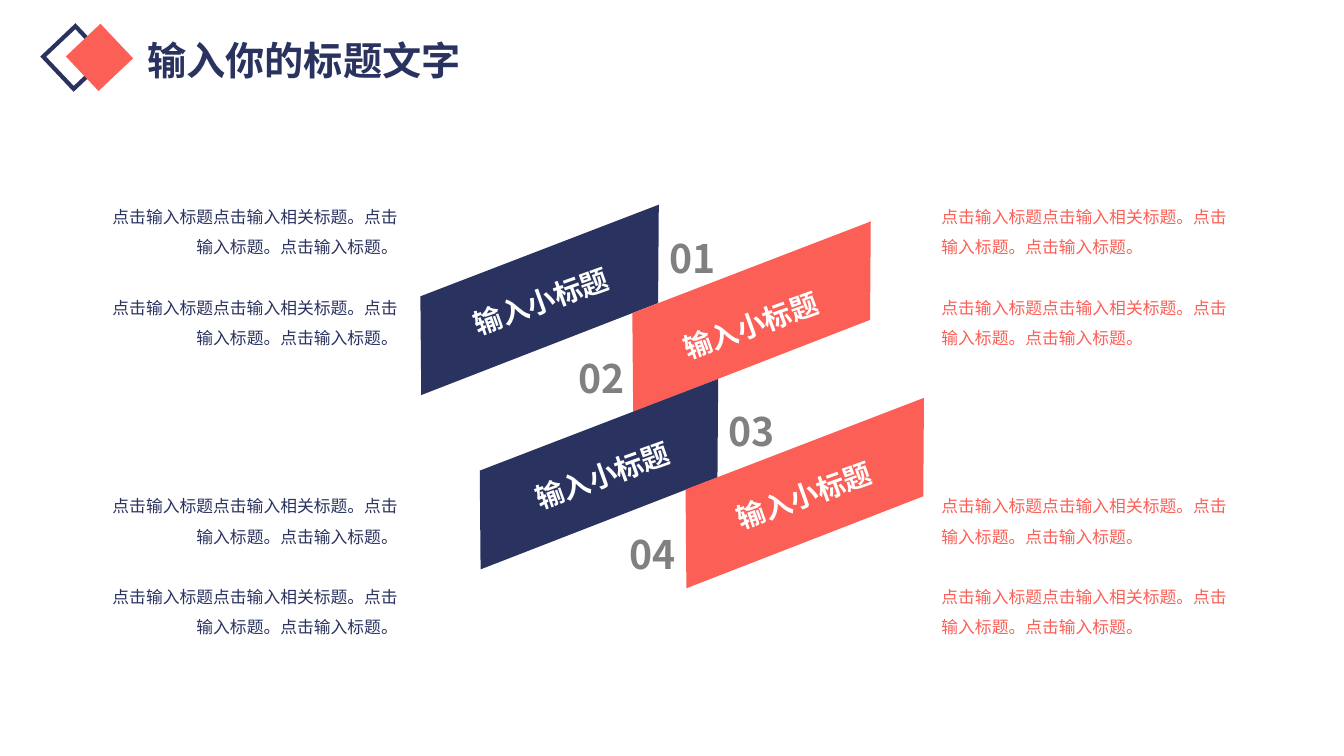
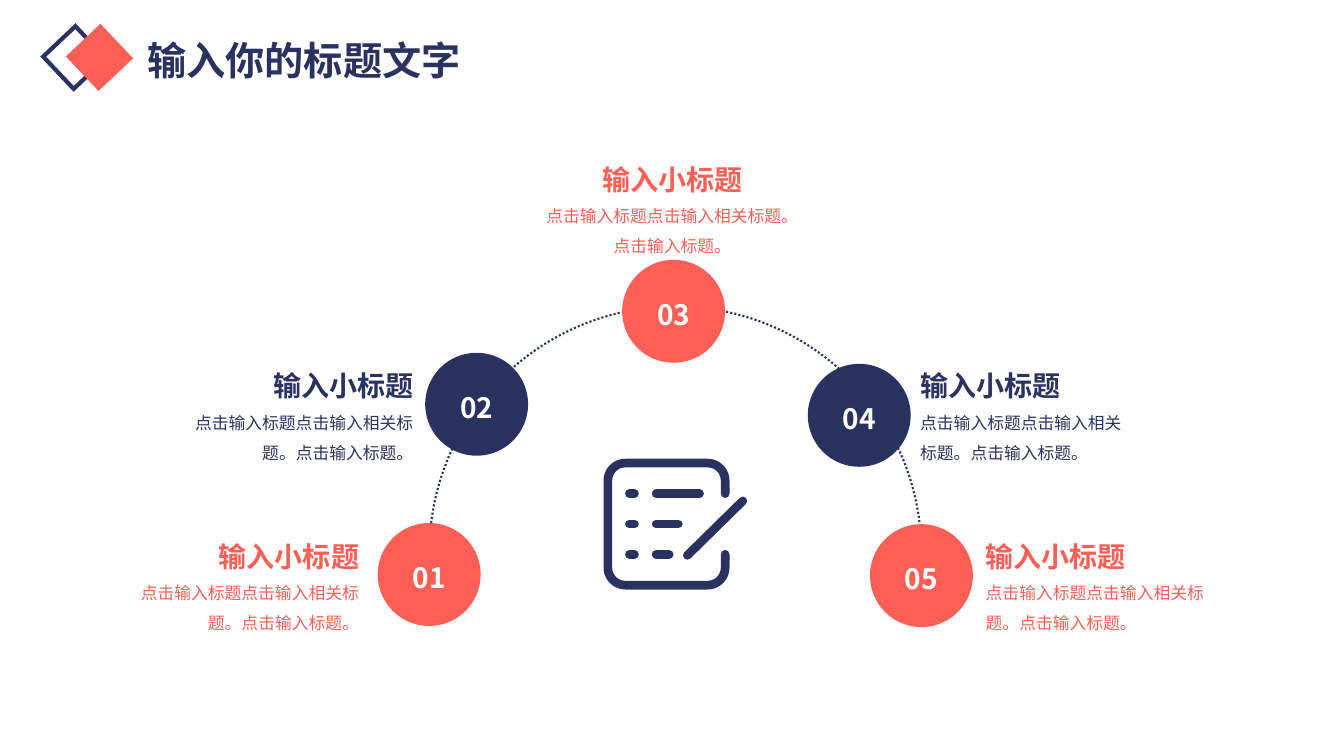
from math import cos, sin, radians
from lxml import etree
from pptx import Presentation
from pptx.dml.color import RGBColor
from pptx.enum.dml import MSO_LINE
from pptx.enum.shapes import MSO_CONNECTOR as Link, MSO_SHAPE as Kind
from pptx.enum.text import MSO_ANCHOR as Anchor, PP_ALIGN as Align
from pptx.oxml.ns import qn
from pptx.util import Pt

# Shared look
INK = {"navy": "2A3360", "coral": "FB5F56", "gray": "808080", "white": "FFFFFF"}
FONT = "Noto Sans CJK SC"
LEAD = 1.2  # line height per point of text
DROP = 0.07  # baseline correction per point of text
SIDE = {"l": Align.LEFT, "c": Align.CENTER, "r": Align.RIGHT}

# Content
TITLE = "输入你的标题文字"
HEAD = "输入小标题"
LONG = "点击输入标题点击输入相关标题。点击输入标题。点击输入标题。"
SHORT = "点击输入标题点击输入相关标题。点击输入标题。"

# Bands: number, colour, top right corner, label corner, number corner
BANDS = [
    ("01", "navy", (470.6, 146.2), (306, 198), (470.9, 162)),
    ("02", "coral", (622, 158.2), (455.8, 215.3), (406.1, 247.7)),
    ("03", "navy", (513, 270.7), (349.9, 322.6), (513.4, 285.8)),
    ("04", "coral", (660, 284.2), (493.9, 337), (442.8, 373.7)),
]
EDGE = [(0, 0), (-0.5, 70.3), (-169.7, 136), (-170.3, 65.5)]
NOTES = [("navy", "r", 76.3), ("coral", "l", 672.5)]
ROWS = [139.7, 346.3]

# Steps: number, colour, circle corner, text side, text left, top, width
STEPS = [
    ("01", "coral", (269.8, 373.6), "r", 88.6, 380.2, 175),
    ("02", "navy", (303.7, 252), "r", 127.4, 258.5, 175),
    ("03", "coral", (444.4, 185.6), "c", 380.9, 110.9, 198.7),
    ("04", "navy", (577, 259.9), "l", 650.2, 258.5, 167.8),
    ("05", "coral", (621.4, 374.4), "l", 697, 380.2, 182),
]
DISC = 73.5

# Icon strokes
ROUND = 6.2
BARS = [499.7, 484.5, 478]
BAR_TOP, BAR_GAP = 352.6, 21.7
PEN = (491, 396.7, 530.6, 357.8)


def rgb(name):
    return RGBColor.from_string(INK[name])


def paint(shape, fill=None, line=None, width=1):
    shape.shadow.inherit = False
    if fill:
        shape.fill.solid()
        shape.fill.fore_color.rgb = rgb(fill)
    else:
        shape.fill.background()
    if line:
        shape.line.color.rgb = rgb(line)
        shape.line.width = Pt(width)
    else:
        shape.line.fill.background()
    return shape


def block(slide, kind, x, y, w, h):
    return slide.shapes.add_shape(kind, Pt(x), Pt(y), Pt(w), Pt(h))


def write(frame, parts, tint, side):
    """Each part is text, size, bold, line factor, space before."""
    for i, (text, size, bold, lead, gap) in enumerate(parts):
        para = frame.paragraphs[0] if i == 0 else frame.add_paragraph()
        para.alignment = SIDE[side]
        para.line_spacing = Pt(round(size * LEAD * lead, 1))
        para.space_before = Pt(gap)
        run = para.add_run()
        run.text = text
        font = run.font
        font.name, font.size, font.bold = FONT, Pt(size), bold
        font.color.rgb = rgb(tint)
        east = etree.SubElement(font._element, qn("a:ea"))
        east.set("typeface", FONT)


def put(slide, spot, parts, tint, side="l", pad=True, turn=0):
    x, y, w, h = spot
    y += DROP * parts[0][1]
    box = slide.shapes.add_textbox(Pt(x), Pt(y), Pt(w), Pt(h))
    box.rotation = turn
    frame = box.text_frame
    frame.word_wrap = True
    if not pad:
        frame.margin_left = frame.margin_right = 0
        frame.margin_top = frame.margin_bottom = 0
    write(frame, parts, tint, side)


def trace(slide, points, closed):
    pen = slide.shapes.build_freeform(
        *[round(v * 100) for v in points[0]], scale=Pt(1) / 100)
    pen.add_line_segments(
        [(round(x * 100), round(y * 100)) for x, y in points[1:]], close=closed)
    return pen.convert_to_shape()


def cap(line):
    props = line.line._get_or_add_ln()
    props.set("cap", "rnd")
    etree.SubElement(props, qn("a:round"))


def stroke(slide, x1, y1, x2, y2):
    line = slide.shapes.add_connector(
        Link.STRAIGHT, Pt(x1), Pt(y1), Pt(x2), Pt(y2))
    line.line.color.rgb = rgb("navy")
    line.line.width = Pt(ROUND)
    cap(line)
    etree.SubElement(line._element.spPr, qn("a:effectLst"))


def start(deck):
    """New slide with the twin diamonds and the title."""
    slide = deck.slides.add_slide(deck.slide_layouts[6])
    for x, y, size, fill, line, width in [
            (37.4, 25.3, 31.7, None, "navy", 3),
            (58.8, 28.8, 24.5, "coral", "coral", 9.5)]:
        gem = paint(block(slide, Kind.RECTANGLE, x, y, size, size),
                    fill, line, width)
        gem.rotation = 46.6
        join = etree.SubElement(gem.line._get_or_add_ln(), qn("a:miter"))
        join.set("lim", "800000")
    put(slide, (53.3, 20.2, 327.6, 41), [(TITLE, 28, True, 1, 0)], "navy", "c")
    return slide


def draw_bands(deck):
    slide = start(deck)
    for num, tint, (x, y), label, spot in BANDS:
        put(slide, (*spot, 65, 41), [(num, 28, True, 1, 0)], "gray")
        paint(trace(slide, [(x + a, y + b) for a, b in EDGE], True), tint)
        put(slide, (*label, 161.3, 31.7), [(HEAD, 20, True, 1, 0)],
            "white", "c", turn=340.2)
    for tint, side, x in NOTES:
        for y in ROWS:
            put(slide, (x, y, 208, 106.6),
                [(LONG, 12, False, 1.5, gap) for gap in (0, 21.6)],
                tint, side, pad=False)


def draw_icon(slide):
    # Sheet outline, open at the right
    left, top, right, foot, bend = 434.2, 330.8, 518, 418, 12.5
    last = BAR_TOP + 2 * BAR_GAP
    turns = [(right - bend, top + bend, 0), (left + bend, top + bend, -90),
             (left + bend, foot - bend, -180), (right - bend, foot - bend, -270)]
    points = [(right, BAR_TOP)]
    for x, y, base in turns:
        for step in range(0, 91, 10):
            angle = radians(base - step)
            points.append((x + bend * cos(angle), y + bend * sin(angle)))
    points.append((right, last))
    cap(paint(trace(slide, points, False), None, "navy", ROUND))
    # List rows and pen
    for i, end in enumerate(BARS):
        y = BAR_TOP + i * BAR_GAP
        stroke(slide, 449.6, y, 453.2, y)
        stroke(slide, 468.7, y, end, y)
    stroke(slide, *PEN)


def draw_steps(deck):
    slide = start(deck)
    arc = paint(block(slide, Kind.ARC, 306.7, 218.9, 351.4, 351.4),
                None, "navy", 1.5)
    arc.adjustments[0], arc.adjustments[1] = 108, 2.87
    arc.line.dash_style = MSO_LINE.ROUND_DOT
    for num, tint, (cx, cy), side, x, y, w in STEPS:
        put(slide, (x, y, w, 72.7),
            [(HEAD, 20, True, 1, 0), (SHORT, 12, False, 1.5, 0)], tint, side)
        disc = paint(block(slide, Kind.OVAL, cx, cy, DISC, DISC), tint)
        frame = disc.text_frame
        frame.vertical_anchor = Anchor.MIDDLE
        frame.margin_left = frame.margin_right = frame.margin_bottom = 0
        frame.margin_top = Pt(4)
        write(frame, [(num, 20, True, 1, 0)], "white", "c")
    draw_icon(slide)


def main():
    deck = Presentation()
    deck.slide_width, deck.slide_height = Pt(960), Pt(540)
    draw_bands(deck)
    draw_steps(deck)
    deck.save("out.pptx")


if __name__ == "__main__":
    main()
